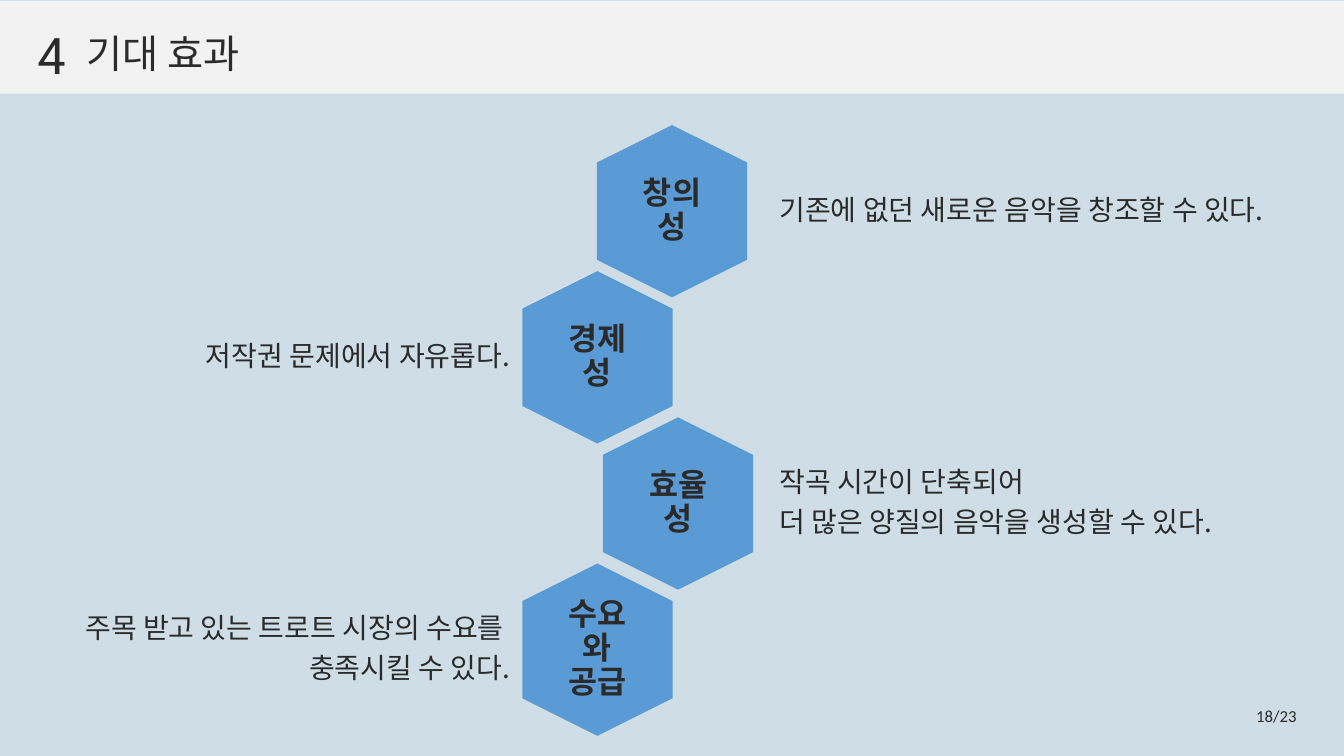
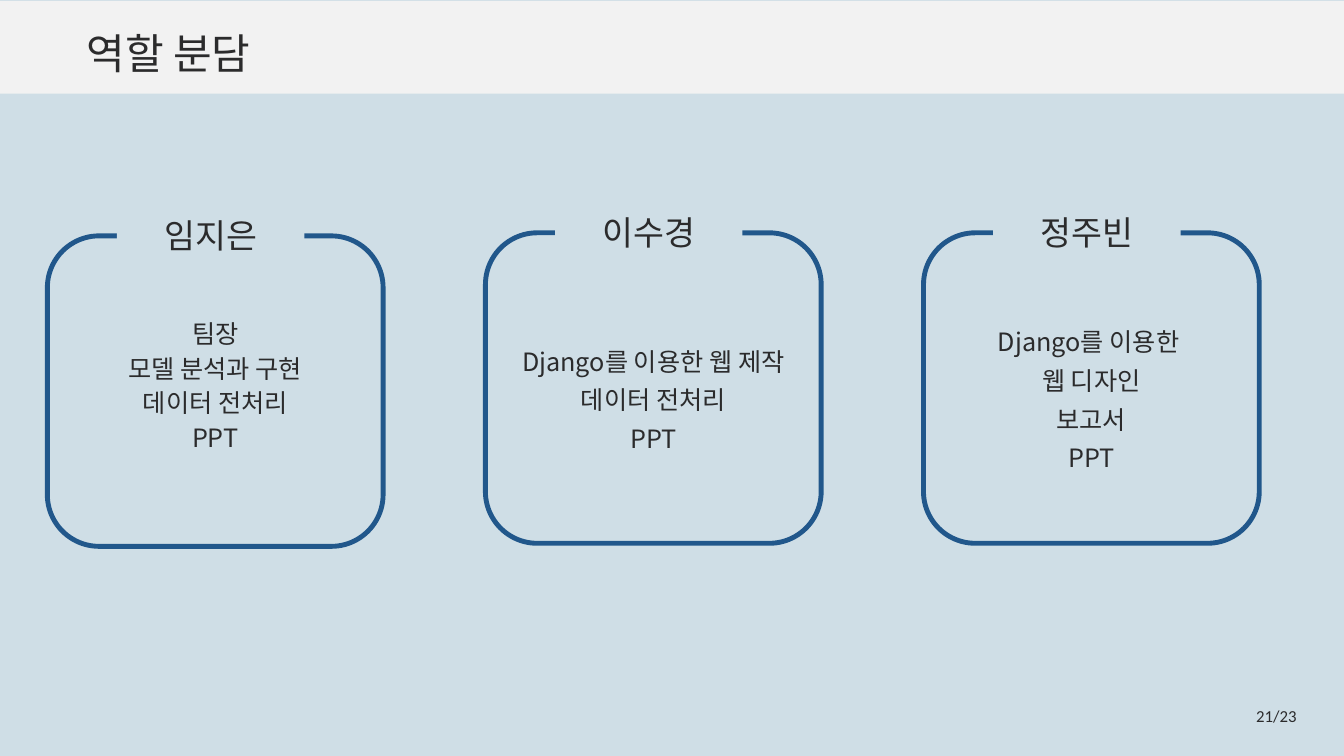
from dataclasses import dataclass

from pptx import Presentation
from pptx.dml.color import RGBColor
from pptx.enum.shapes import MSO_SHAPE
from pptx.enum.text import MSO_ANCHOR, PP_ALIGN
from pptx.util import Inches, Pt

RECT, ROUND_RECT = MSO_SHAPE.RECTANGLE, MSO_SHAPE.ROUNDED_RECTANGLE
TOP, MIDDLE = MSO_ANCHOR.TOP, MSO_ANCHOR.MIDDLE
LEFT, CENTER, RIGHT, JUSTIFY = PP_ALIGN.LEFT, PP_ALIGN.CENTER, PP_ALIGN.RIGHT, PP_ALIGN.JUSTIFY


@dataclass(frozen=True)
class Theme:
    background: str = "CFDEE6"
    band: str = "F2F2F2"
    hexagon: str = "5B9BD5"
    outline: str = "21578B"
    ink: str = "2B2B2C"
    diagram_ink: str = "2A2A2A"
    head_font: str = "Calibri"
    body_font: str = "Noto Sans CJK KR"
    number_font: str = "Roboto"
    number_size: float = 36
    hexagon_size: float = 22.5
    effect_size: float = 20
    name_size: float = 24
    task_size: float = 18
    page_size: float = 12
    outline_width: float = 3.5


THEME = Theme()
PAGE_COUNT = 23
HEX_W, HEX_H, HEX_PITCH = 1.49, 1.71, 1.45
CARD_W, CARD_H, CARD_PITCH = 3.33, 3.08, 4.345
INSET = 0.05

EFFECTS = [
    (5.92, "창의성", 7.68, 4.97, JUSTIFY, ["기존에 없던 새로운 음악을 창조할 수 있다."]),
    (5.18, "경제성", 1.56, 3.55, RIGHT, ["저작권 문제에서 자유롭다."]),
    (5.98, "효율성", 7.68, 4.97, LEFT, ["작곡 시간이 단축되어", "더 많은 양질의 음악을 생성할 수 있다."]),
    (5.18, "수요와 공급", 0.69, 4.42, RIGHT, ["주목 받고 있는 트로트 시장의 수요를 ", "충족시킬 수 있다."]),
]

MEMBERS = [
    ("임지은", ["팀장", "모델 분석과 구현", "데이터 전처리", "PPT"],
     {"top": 2.34, "name_top": 2.06, "name_h": 0.55, "before": 0, "bottom": 0.39}),
    ("이수경", ["Django를 이용한 웹 제작", "데이터 전처리", "PPT"], {}),
    ("정주빈", ["Django를 이용한 ", "웹 디자인", "보고서", "PPT"], {}),
]


def rgb(value):
    return RGBColor.from_string(value)


def write(shape, lines, size, font=THEME.body_font, color=THEME.ink, bold=False,
          align=LEFT, anchor=MIDDLE, insets=(INSET,) * 4, wrap=True,
          before=0, **spacing):
    tf = shape.text_frame
    tf.word_wrap, tf.vertical_anchor = wrap, anchor
    for side, inset in zip(("left", "top", "right", "bottom"), insets):
        setattr(tf, f"margin_{side}", Inches(inset))
    for i, line in enumerate(lines):
        p = tf.paragraphs[0] if i == 0 else tf.add_paragraph()
        p.alignment = align
        if i and before:
            p.space_before = Pt(before)
        for name, value in spacing.items():
            setattr(p, name, value)
        r = p.add_run()
        r.text = line
        for name, value in {"name": font, "size": Pt(size), "bold": bold}.items():
            setattr(r.font, name, value)
        r.font.color.rgb = rgb(color)


def paint(shape, fill=None, line=None):
    shape.shadow.inherit = False
    if fill:
        shape.fill.solid()
        shape.fill.fore_color.rgb = rgb(fill)
    else:
        shape.fill.background()
    if line:
        shape.line.color.rgb = rgb(line)
        shape.line.width = Pt(THEME.outline_width)
    else:
        shape.line.fill.background()
    return shape


def add_box(s, kind, box, fill=None, line=None):
    return paint(s.shapes.add_shape(kind, *map(Inches, box)), fill, line)


def add_text(s, box, lines, size, **style):
    write(s.shapes.add_textbox(*map(Inches, box)), lines, size, **style)


def add_page(prs, title, title_size, page, number=None):
    s = prs.slides.add_slide(prs.slide_layouts[6])
    s.background.fill.solid()
    s.background.fill.fore_color.rgb = rgb(THEME.background)
    add_box(s, RECT, (0, 0.01, 13.33, 0.92), THEME.band)
    if number:
        add_text(s, (0.32, 0.19, 0.46, 0.71), [number], THEME.number_size,
                 font=THEME.number_font, anchor=TOP, wrap=False)
    add_text(s, (0.81, 0.22, 4.76, 0.6), [title], title_size, font=THEME.head_font)
    add_text(s, (12.4, 6.95, 0.51, 0.3), [f"{page}/{PAGE_COUNT}"], THEME.page_size,
             font=THEME.head_font, align=RIGHT, wrap=False)
    return s


def add_hexagon(s, x, y, label):
    mid, right = x + HEX_W / 2, x + HEX_W
    upper, lower, bottom = y + HEX_W / 4, y + HEX_H - HEX_W / 4, y + HEX_H
    points = [(mid, y), (right, upper), (right, lower),
              (mid, bottom), (x, lower), (x, upper)]
    corners = [(Inches(px), Inches(py)) for px, py in points]
    outline = s.shapes.build_freeform(*corners[0])
    outline.add_line_segments(corners[1:], close=True)
    hexagon = paint(outline.convert_to_shape(), THEME.hexagon)
    write(hexagon, [label], THEME.hexagon_size, color=THEME.diagram_ink, bold=True,
          align=CENTER, insets=(0.32, 0.35, 0.32, 0.35),
          line_spacing=0.9, space_after=Pt(8))


def add_effects(s, top):
    for i, (x, label, text_x, text_w, align, lines) in enumerate(EFFECTS):
        y = top + i * HEX_PITCH
        add_hexagon(s, x, y, label)
        add_text(s, (text_x, y + 0.34, text_w, 1.03), lines, THEME.effect_size,
                 color=THEME.diagram_ink, align=align,
                 line_spacing=0.9, space_after=Pt(7))


def add_card(s, x, name, tasks, top=2.31, name_top=2.01, name_h=0.59,
             before=3, bottom=INSET):
    frame = add_box(s, ROUND_RECT, (x, top, CARD_W, CARD_H), line=THEME.outline)
    write(frame, tasks, THEME.task_size, align=CENTER, before=before,
          insets=(0.2, 0.28, 0.2, bottom), space_after=Pt(3))
    tab = add_box(s, RECT, (x + 0.69, name_top, 1.86, name_h), THEME.background)
    write(tab, [name], THEME.name_size, font=THEME.head_font,
          align=CENTER, space_after=Pt(3))


def add_team(s, left):
    for i, (name, tasks, layout) in enumerate(MEMBERS):
        add_card(s, left + i * CARD_PITCH, name, tasks, **layout)


def main():
    prs = Presentation()
    prs.slide_width, prs.slide_height = Inches(13.33), Inches(7.5)
    add_effects(add_page(prs, "기대 효과", 28, 18, number="4"), 1.24)
    add_team(add_page(prs, "역할 분담", 30, 21), 0.47)
    prs.save("out.pptx")


if __name__ == "__main__":
    main()
